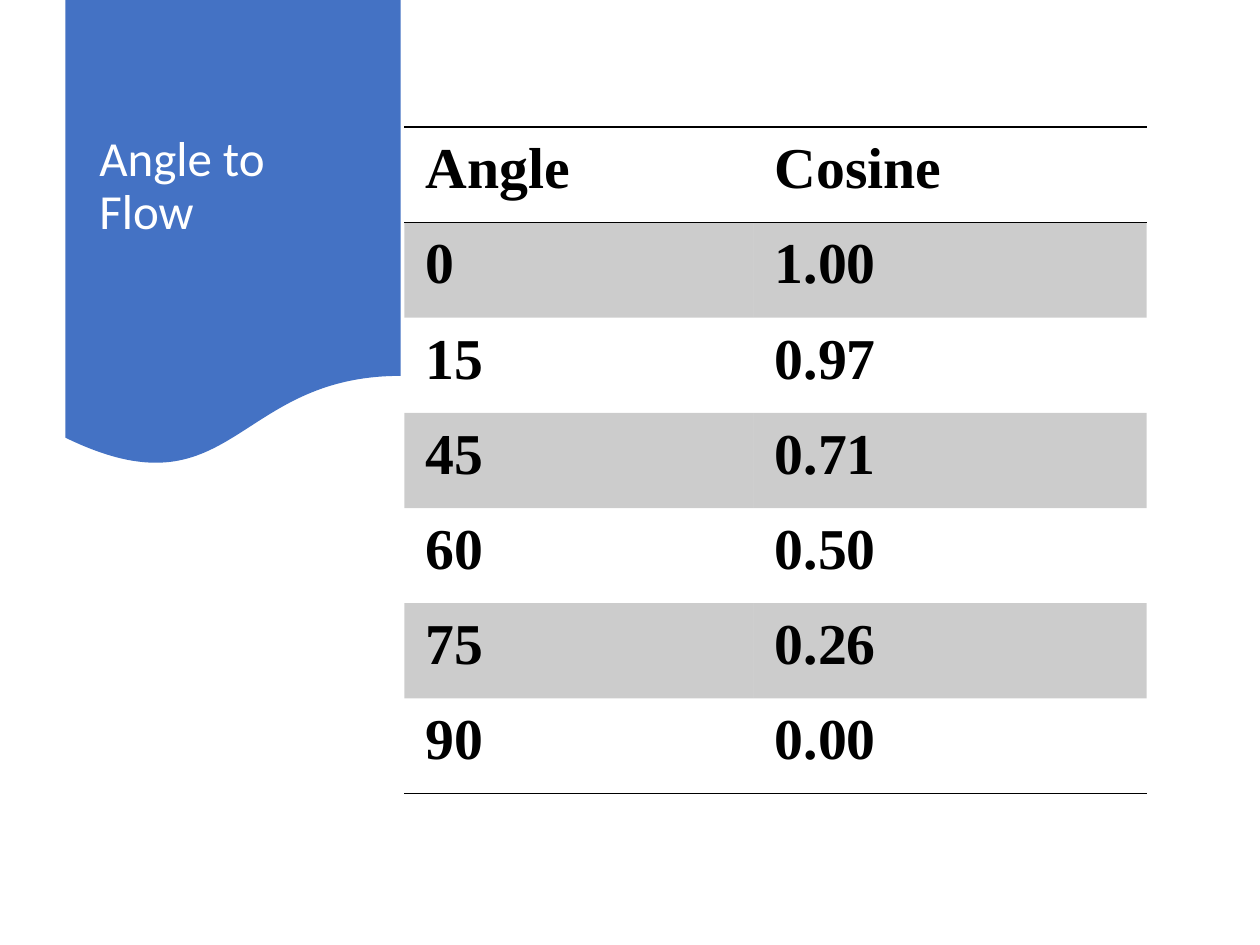
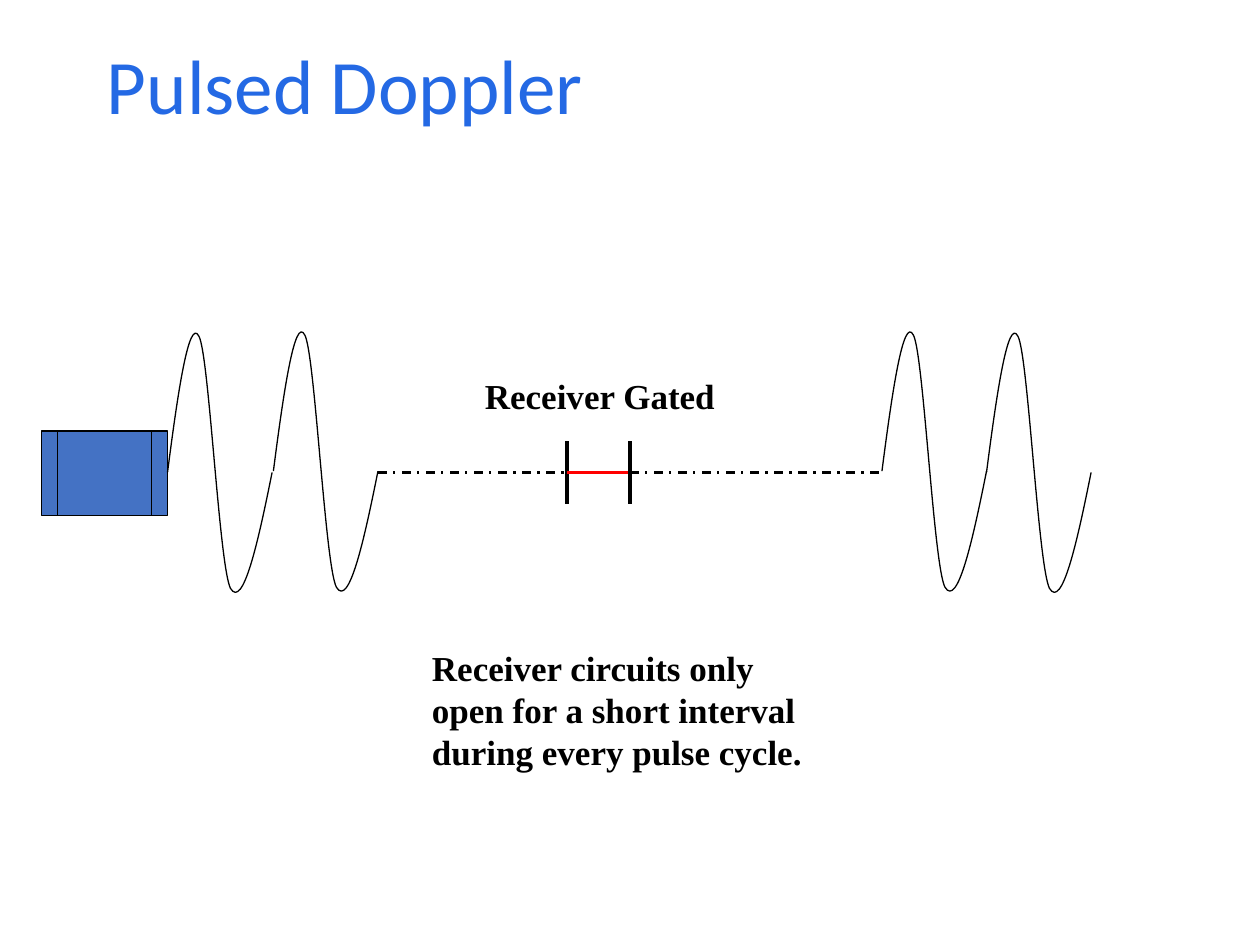
from lxml import etree
from pptx import Presentation
from pptx.dml.color import RGBColor
from pptx.enum.dml import MSO_LINE_DASH_STYLE as Dash
from pptx.enum.shapes import MSO_CONNECTOR as Link, MSO_SHAPE as Kind
from pptx.enum.text import MSO_ANCHOR as Anchor, MSO_AUTO_SIZE as Fit
from pptx.oxml.ns import qn
from pptx.util import Inches, Pt

BLACK = RGBColor(0, 0, 0)
WHITE = RGBColor(255, 255, 255)
BLUE = RGBColor(0x44, 0x72, 0xC4)
AZURE = RGBColor(0x24, 0x69, 0xE4)
RED = RGBColor(255, 0, 0)
SANS, SERIF = "Calibri", "Times New Roman"
PLAIN = "{2D5ABB26-0587-4C30-8999-92F81FD0307C}"

ROWS = [("Angle", "Cosine"), ("0", "1.00"), ("15", "0.97"), ("45", "0.71"),
        ("60", "0.50"), ("75", "0.26"), ("90", "0.00")]
CURVE = [(0.08, -0.62), (0.17, -1.24), (0.25, -1.08),
         (0.33, -0.93), (0.41, 0.74), (0.5, 0.92),
         (0.6, 1.09), (0.72, 0.55), (0.83, 0)]


def write(frame, text, size, font, color, bold=False):
    """Put one styled run in the frame and return its paragraph."""
    para = frame.paragraphs[0]
    run = para.add_run()
    run.text = text
    face = run.font
    face.size, face.name, face.bold = Pt(size), font, bold
    face.color.rgb = color
    return para


def add_title(slide, box, text, size, color):
    """Add a slide title centred vertically in its box."""
    frame = slide.shapes.add_textbox(*map(Inches, box)).text_frame
    frame.word_wrap = True
    frame.vertical_anchor = Anchor.MIDDLE
    write(frame, text, size, SANS, color).line_spacing = 0.9


def add_label(slide, box, text, wrap=True):
    """Add a bold serif label."""
    frame = slide.shapes.add_textbox(*map(Inches, box)).text_frame
    frame.word_wrap = wrap
    frame.auto_size = Fit.SHAPE_TO_FIT_TEXT
    write(frame, text, 20, SERIF, BLACK, True)


def add_block(slide, kind, box, edge=None):
    """Add a blue shape, outlined when an edge colour is given."""
    shape = slide.shapes.add_shape(kind, *map(Inches, box))
    shape.shadow.inherit = False
    shape.fill.solid()
    shape.fill.fore_color.rgb = BLUE
    if edge is None:
        shape.line.fill.background()
    else:
        shape.line.color.rgb = edge
        shape.line.width = Pt(0.75)


def add_line(slide, start, end, width, color=BLACK, dash=None):
    """Draw a straight line between two points."""
    line = slide.shapes.add_connector(Link.STRAIGHT, *map(Inches, start + end))
    etree.SubElement(line._element.spPr, qn("a:effectLst"))
    line.line.color.rgb = color
    line.line.width = Pt(width)
    if dash:
        line.line.dash_style = dash


def bend(shape):
    """Turn each three straight segments of an outline into one cubic."""
    steps = list(shape._element.iter(qn("a:lnTo")))
    for first in range(0, len(steps), 3):
        trio = steps[first:first + 3]
        cubic = etree.Element(qn("a:cubicBezTo"))
        trio[0].addprevious(cubic)
        for step in trio:
            cubic.append(step[0])
            step.getparent().remove(step)


def add_wave(slide, left, mid):
    """Draw one wave cycle starting at the given point."""
    path = slide.shapes.build_freeform(Inches(left), Inches(mid))
    path.add_line_segments([(Inches(left + x), Inches(mid + y))
                            for x, y in CURVE], close=False)
    wave = path.convert_to_shape()
    bend(wave)
    wave.shadow.inherit = False
    wave.fill.background()
    wave.line.color.rgb = BLACK
    wave.line.width = Pt(0.75)


def add_rule(cell, side):
    """Draw a thin black border on one side of a cell."""
    rule = etree.Element(qn("a:" + side), w=str(Pt(1)))
    fill = etree.SubElement(rule, qn("a:solidFill"))
    etree.SubElement(fill, qn("a:srgbClr"), val=str(BLACK))
    cell._tc.get_or_add_tcPr().insert(0, rule)


def add_band(cell):
    """Fill a cell with black at one fifth strength."""
    cell.fill.solid()
    cell.fill.fore_color.rgb = BLACK
    tint = cell._tc.tcPr.find(qn("a:solidFill"))[0]
    etree.SubElement(tint, qn("a:alpha"), val="20000")


def add_grid(slide, box):
    """Add the banded angle and cosine table."""
    grid = slide.shapes.add_table(len(ROWS), 2, *map(Inches, box))
    grid._element.find(".//" + qn("a:tableStyleId")).text = PLAIN
    table = grid.table
    table.columns[0].width = Inches(2.77)
    table.columns[1].width = Inches(box[2] - 2.77)
    for r, row in enumerate(ROWS):
        for c, text in enumerate(row):
            cell = table.cell(r, c)
            cell.margin_left = cell.margin_right = Inches(0.17)
            cell.margin_top = cell.margin_bottom = Inches(0.08)
            write(cell.text_frame, text, 33, SERIF, BLACK, True)
            if r % 2:
                add_band(cell)
            else:
                cell.fill.background()
            if r in (0, len(ROWS) - 1):
                add_rule(cell, "lnB")
            if r == 0:
                add_rule(cell, "lnT")


def add_gate(slide, left, mid, width):
    """Draw the red receiver gate between two ticks."""
    right = left + width
    add_line(slide, (left, mid - 0.25), (left, mid + 0.25), 2)
    add_line(slide, (left, mid), (right, mid), 2, RED)
    add_line(slide, (right, mid - 0.25), (right, mid + 0.25), 2)


def add_pulse(slide, left, mid):
    """Draw the probe, its wave trains and the gated path."""
    add_block(slide, Kind.FLOWCHART_PREDEFINED_PROCESS,
              (left, mid - 0.33, 1, 0.67), BLACK)
    for start, drop in ((1, 0), (1.84, -0.01), (6.67, -0.01), (7.5, 0)):
        add_wave(slide, left + start, mid + drop)
    for start, end in ((4.67, 6.67), (2.67, 4.17)):
        add_line(slide, (left + start, mid), (left + end, mid), 1.25,
                 dash=Dash.DASH_DOT)
    add_gate(slide, left + 4.17, mid, 0.5)


def angle_slide(deck):
    """Build the angle to flow slide."""
    slide = deck.slides.add_slide(deck.slide_layouts[6])
    add_block(slide, Kind.FLOWCHART_DOCUMENT, (0.52, 0, 2.66, 3.72))
    add_title(slide, (0.69, 0.19, 2.33, 2.59), "Angle to Flow", 28, WHITE)
    add_grid(slide, (3.21, 1.01, 5.89, 5.29))


def pulse_slide(deck):
    """Build the pulsed Doppler slide."""
    slide = deck.slides.add_slide(deck.slide_layouts[6])
    add_title(slide, (0.75, 0.17, 8.75, 1.08), "Pulsed Doppler", 44, AZURE)
    add_pulse(slide, 0.33, 3.75)
    add_label(slide, (3.75, 2.92, 2.03, 0.43), "Receiver Gated", False)
    add_label(slide, (3.33, 5.08, 3.33, 1.1),
              "Receiver circuits only open for a short interval "
              "during every pulse cycle.")


def main():
    """Build and save the deck."""
    deck = Presentation()
    deck.slide_width, deck.slide_height = Inches(10), Inches(7.5)
    angle_slide(deck)
    pulse_slide(deck)
    deck.save("out.pptx")


if __name__ == "__main__":
    main()
